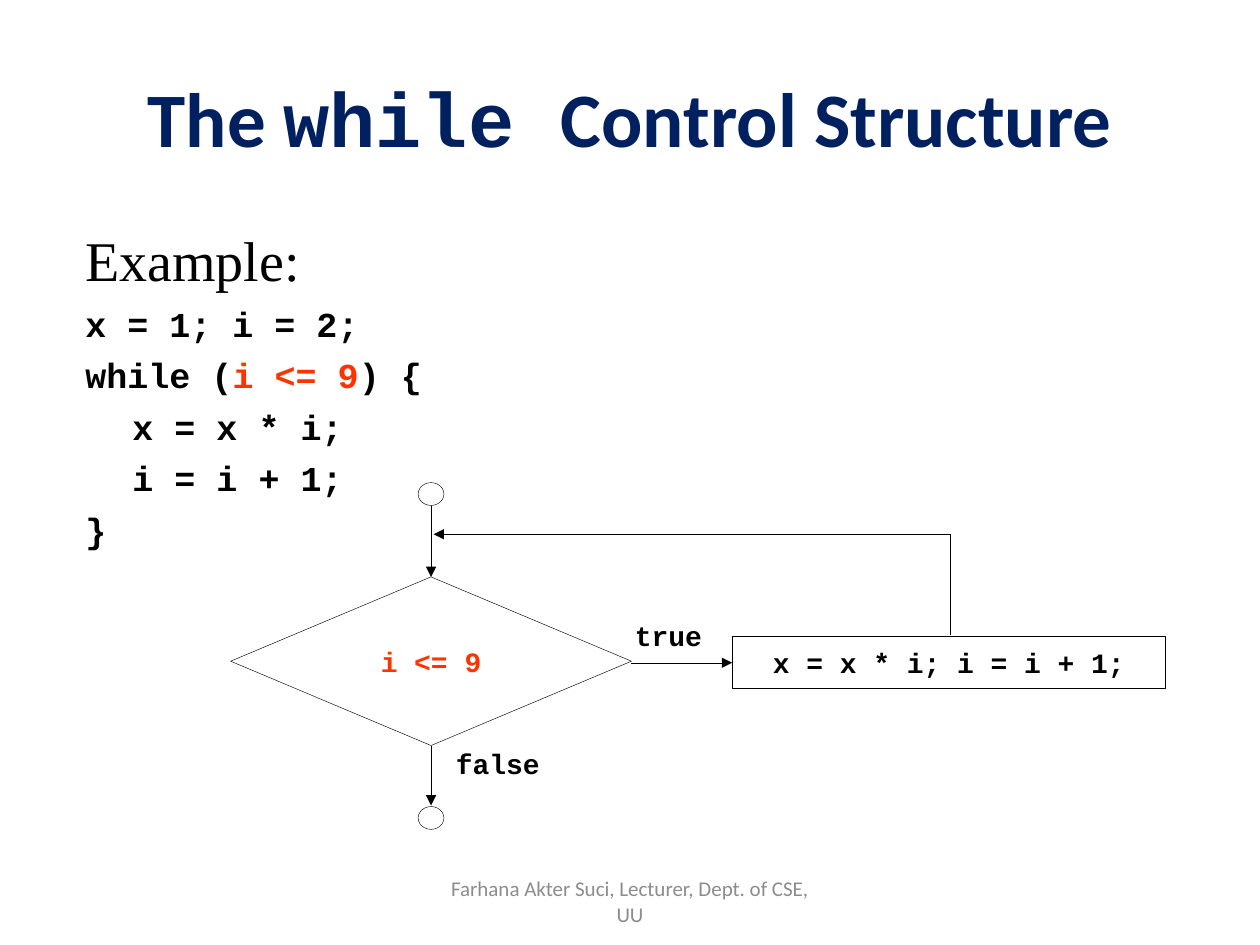
import pptx
import pptx.util
import pptx.dml.color
import pptx.enum.shapes
import pptx.enum.text
import pptx.oxml.ns
from lxml import etree

Cm = pptx.util.Cm
Pt = pptx.util.Pt
SHAPES = pptx.enum.shapes.MSO_SHAPE
ALIGN = pptx.enum.text.PP_ALIGN
ANCHOR = pptx.enum.text.MSO_ANCHOR

NAVY = pptx.dml.color.RGBColor(0x00, 0x20, 0x60)
BLACK = pptx.dml.color.RGBColor(0x00, 0x00, 0x00)
RED = pptx.dml.color.RGBColor(0xFF, 0x33, 0x00)
GRAY = pptx.dml.color.RGBColor(0x8C, 0x8C, 0x8C)
WHITE = pptx.dml.color.RGBColor(0xFF, 0xFF, 0xFF)

HEADING_FONT = "Calibri"
CODE_FONT = "Courier New"
SERIF_FONT = "Times New Roman"

AXIS_X = 8.69
ROW_Y = 13.36
LOOP_X = 19.16
LOOP_Y = 10.77


def add_runs(paragraph, pieces, size, bold):
    for text, font, color in pieces:
        run = paragraph.add_run()
        run.text = text
        run.font.name = font
        run.font.size = Pt(size)
        run.font.bold = bold
        run.font.color.rgb = color


def clear_margins(frame):
    frame.margin_left = frame.margin_right = 0
    frame.margin_top = frame.margin_bottom = 0


def add_text(slide, left, top, width, height, pieces, size, bold=False,
             align=ALIGN.CENTER, anchor=ANCHOR.MIDDLE):
    box = slide.shapes.add_textbox(Cm(left), Cm(top), Cm(width), Cm(height))
    frame = box.text_frame
    frame.word_wrap = True
    frame.vertical_anchor = anchor
    paragraph = frame.paragraphs[0]
    paragraph.alignment = align
    add_runs(paragraph, pieces, size, bold)
    return frame


def add_code_line(frame, pieces, indented=False):
    paragraph = frame.add_paragraph()
    paragraph.space_before = Pt(5.4)
    if indented:
        properties = paragraph._p.get_or_add_pPr()
        properties.set("marL", str(Cm(0.95)))
        properties.set("indent", "0")
    add_runs(paragraph, [(text, CODE_FONT, color) for text, color in pieces], 20, True)


def add_branch_label(slide, left, top, width, text):
    frame = add_text(slide, left, top, width, 0.94, [(text, CODE_FONT, BLACK)],
                     16, True, ALIGN.LEFT, ANCHOR.TOP)
    clear_margins(frame)


def add_node(slide, kind, left, top, width, height, text="", color=BLACK):
    node = slide.shapes.add_shape(kind, Cm(left), Cm(top), Cm(width), Cm(height))
    node.shadow.inherit = False
    node.fill.solid()
    node.fill.fore_color.rgb = WHITE
    node.line.color.rgb = BLACK
    node.line.width = Pt(0.25)
    if text:
        frame = node.text_frame
        clear_margins(frame)
        frame.vertical_anchor = ANCHOR.MIDDLE
        frame.paragraphs[0].alignment = ALIGN.CENTER
        add_runs(frame.paragraphs[0], [(text, CODE_FONT, color)], 16, True)


def add_flow(slide, x1, y1, x2, y2, arrow=True):
    flow = slide.shapes.add_connector(pptx.enum.shapes.MSO_CONNECTOR.STRAIGHT,
                                      Cm(x1), Cm(y1), Cm(x2), Cm(y2))
    flow.line.color.rgb = BLACK
    flow.line.width = Pt(0.25)
    if arrow:
        tail = etree.SubElement(flow.line._get_or_add_ln(), pptx.oxml.ns.qn("a:tailEnd"))
        tail.set("type", "triangle")
    etree.SubElement(flow._element.spPr, pptx.oxml.ns.qn("a:effectLst"))


def add_code_example(slide):
    frame = add_text(slide, 1.47, 4.42, 22.99, 12.5, [("Example:", SERIF_FONT, BLACK)],
                     32, align=ALIGN.LEFT, anchor=ANCHOR.TOP)
    add_code_line(frame, [("x = 1; i = 2;", BLACK)])
    add_code_line(frame, [("while (", BLACK), ("i <= 9", RED), (") {", BLACK)])
    add_code_line(frame, [("x = x * i;", BLACK)], indented=True)
    add_code_line(frame, [("i = i + 1;", BLACK)], indented=True)
    add_code_line(frame, [("}", BLACK)])


def add_flowchart(slide):
    add_node(slide, SHAPES.DIAMOND, 4.65, 11.63, 8.08, 3.4, "i <= 9", RED)
    add_node(slide, SHAPES.RECTANGLE, 14.76, 12.83, 8.74, 1.04, "x = x * i; i = i + 1;")
    for terminal_top in (9.73, 16.26):
        add_node(slide, SHAPES.OVAL, AXIS_X - 0.26, terminal_top, 0.52, 0.46)

    add_flow(slide, AXIS_X, 10.2, AXIS_X, 11.63)
    add_flow(slide, AXIS_X, 15.03, AXIS_X, 16.24)
    add_flow(slide, 12.73, ROW_Y, 14.76, ROW_Y)
    add_flow(slide, LOOP_X, 12.8, LOOP_X, LOOP_Y, arrow=False)
    add_flow(slide, LOOP_X, LOOP_Y, 8.74, LOOP_Y)

    add_branch_label(slide, 12.8, 12.47, 1.78, "true")
    add_branch_label(slide, 9.19, 15.06, 2.18, "false")


def main():
    deck = pptx.Presentation()
    deck.slide_width = Cm(25.4)
    deck.slide_height = Cm(19.05)
    slide = deck.slides.add_slide(deck.slide_layouts[6])

    title = [("The ", HEADING_FONT, NAVY), ("while ", CODE_FONT, NAVY),
             ("Control Structure", HEADING_FONT, NAVY)]
    add_text(slide, 1.27, 0.76, 22.86, 3.18, title, 44, True)
    add_code_example(slide)
    add_flowchart(slide)
    add_text(slide, 8.68, 17.66, 8.04, 1.01,
             [("Farhana Akter Suci, Lecturer, Dept. of CSE, UU", HEADING_FONT, GRAY)], 12)

    deck.save("out.pptx")


if __name__ == "__main__":
    main()
